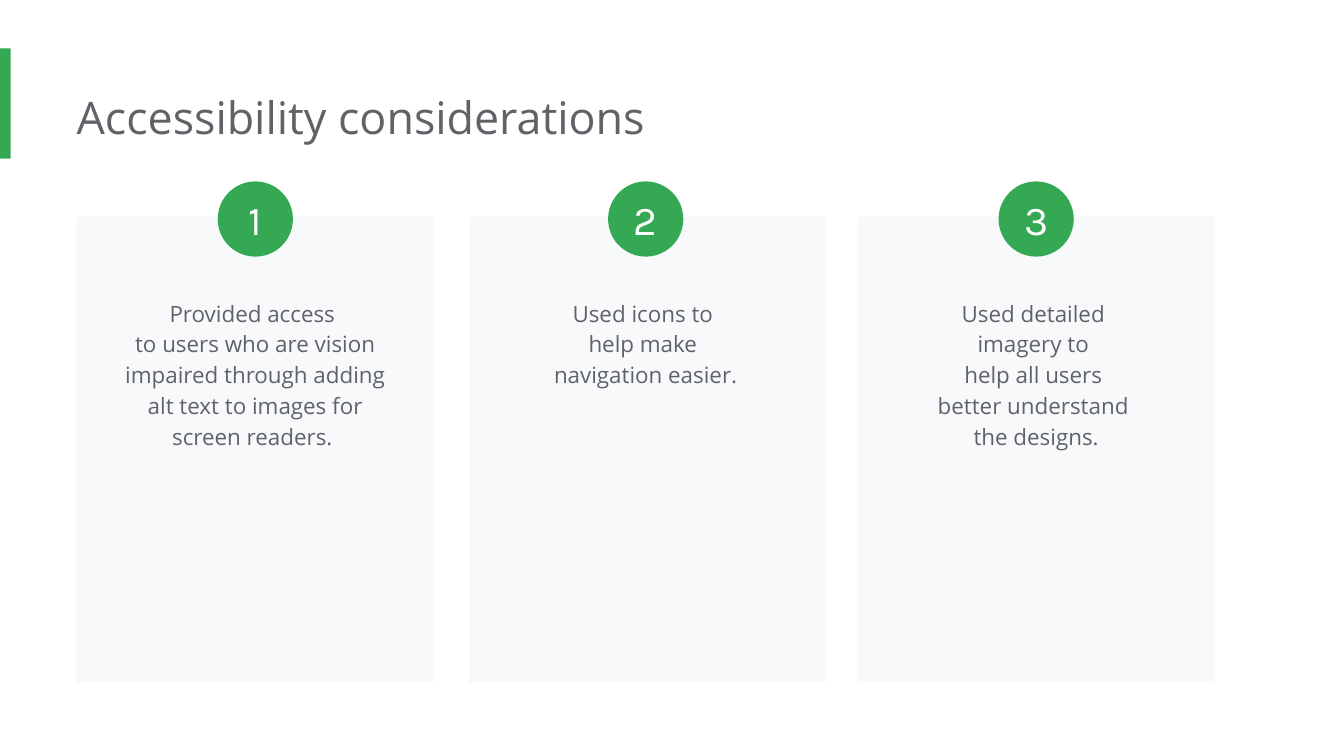
from copy import deepcopy
from dataclasses import dataclass

from pptx import Presentation
from pptx import util as u
from pptx.dml.color import RGBColor
from pptx.enum import shapes, text
from pptx.oxml.ns import qn

# Content
TITLE = "Accessibility considerations"
CONSIDERATIONS = [
    "Provided access \nto users who are vision impaired through adding "
    "alt text to images for screen readers. ",
    "Used icons to \nhelp make \nnavigation easier.",
    "Used detailed \nimagery to \nhelp all users \nbetter understand \nthe designs.",
]


@dataclass(frozen=True)
class Theme:
    green: str = "34A853"
    gray: str = "5F6368"
    card: str = "F8F9FA"
    white: str = "FFFFFF"
    font: str = "Open Sans"
    number_font: str = "Karla"
    title_size: int = 24
    number_size: int = 22
    body_size: int = 12


THEME = Theme()

# Grid, in inches, on a 16:9 slide
WIDTH = 10
HEIGHT = WIDTH * 9 / 16
CARD_LEFTS = (0.57, 3.49, 6.38)
CARD_TOP, CARD_WIDTH, CARD_HEIGHT = 1.61, 2.66, 3.47
FIRST_CENTER = CARD_LEFTS[0] + CARD_WIDTH / 2
CENTER_STEP = (CARD_LEFTS[-1] - CARD_LEFTS[0]) / 2
TEXT_TOP, TEXT_WIDTH, TEXT_HEIGHT = 2.1, 2.24, 1.36
BADGE_TOP, BADGE_SIZE = 1.35, 0.56


def box(*lengths):
    return [u.Inches(length) for length in lengths]


def add_block(slide, kind, place, color):
    shape = slide.shapes.add_shape(kind, *box(*place))
    shape.shadow.inherit = False
    shape.fill.solid()
    shape.fill.fore_color.rgb = RGBColor.from_string(color)
    shape.line.fill.background()
    return shape


def write(shape, words, *, size, color=THEME.gray, font=THEME.font,
          align=text.PP_ALIGN.CENTER, anchor=text.MSO_ANCHOR.TOP,
          spacing=1.0, insets=(0.1, 0.1, 0.1, 0.1)):
    frame = shape.text_frame
    frame.word_wrap = True
    frame.auto_size = text.MSO_AUTO_SIZE.NONE
    frame.vertical_anchor = anchor
    (frame.margin_left, frame.margin_top,
     frame.margin_right, frame.margin_bottom) = box(*insets)
    paragraph = frame.paragraphs[0]
    paragraph.text = words
    paragraph.alignment = align
    paragraph.line_spacing = spacing
    paragraph.space_before = u.Pt(0)
    for run in paragraph.runs:
        run.font.size = u.Pt(size)
        run.font.name = font
        run.font.color.rgb = RGBColor.from_string(color)
    # Line breaks take the format of the text around them
    for line_break in paragraph._p.findall(qn("a:br")):
        line_break.append(deepcopy(paragraph.runs[0]._r.rPr))


def main():
    presentation = Presentation()
    presentation.slide_width, presentation.slide_height = box(WIDTH, HEIGHT)
    slide = presentation.slides.add_slide(presentation.slide_layouts[5])

    # Accent bar and title
    add_block(slide, shapes.MSO_SHAPE.RECTANGLE, (0, 0.36, 0.08, 0.82), THEME.green)
    title = slide.shapes.title
    title.left, title.top, title.width, title.height = box(
        CARD_LEFTS[0], 0.57, 7.66, 0.61)
    write(title, TITLE, size=THEME.title_size, align=text.PP_ALIGN.LEFT,
          insets=(0, 0.1, 0.1, 0.1))

    # Numbered cards, with text and badges on evenly spaced centres
    for index, (left, words) in enumerate(zip(CARD_LEFTS, CONSIDERATIONS)):
        center = FIRST_CENTER + index * CENTER_STEP
        add_block(slide, shapes.MSO_SHAPE.RECTANGLE,
                  (left, CARD_TOP, CARD_WIDTH, CARD_HEIGHT), THEME.card)
        body = slide.shapes.add_textbox(
            *box(center - TEXT_WIDTH / 2, TEXT_TOP, TEXT_WIDTH, TEXT_HEIGHT))
        write(body, words, size=THEME.body_size, spacing=1.15)
        badge = add_block(slide, shapes.MSO_SHAPE.OVAL,
                          (center - BADGE_SIZE / 2, BADGE_TOP, BADGE_SIZE, BADGE_SIZE),
                          THEME.green)
        write(badge, str(index + 1), size=THEME.number_size, color=THEME.white,
              font=THEME.number_font, anchor=text.MSO_ANCHOR.MIDDLE,
              insets=(0, 0, 0, 0))

    presentation.save("out.pptx")


if __name__ == "__main__":
    main()
